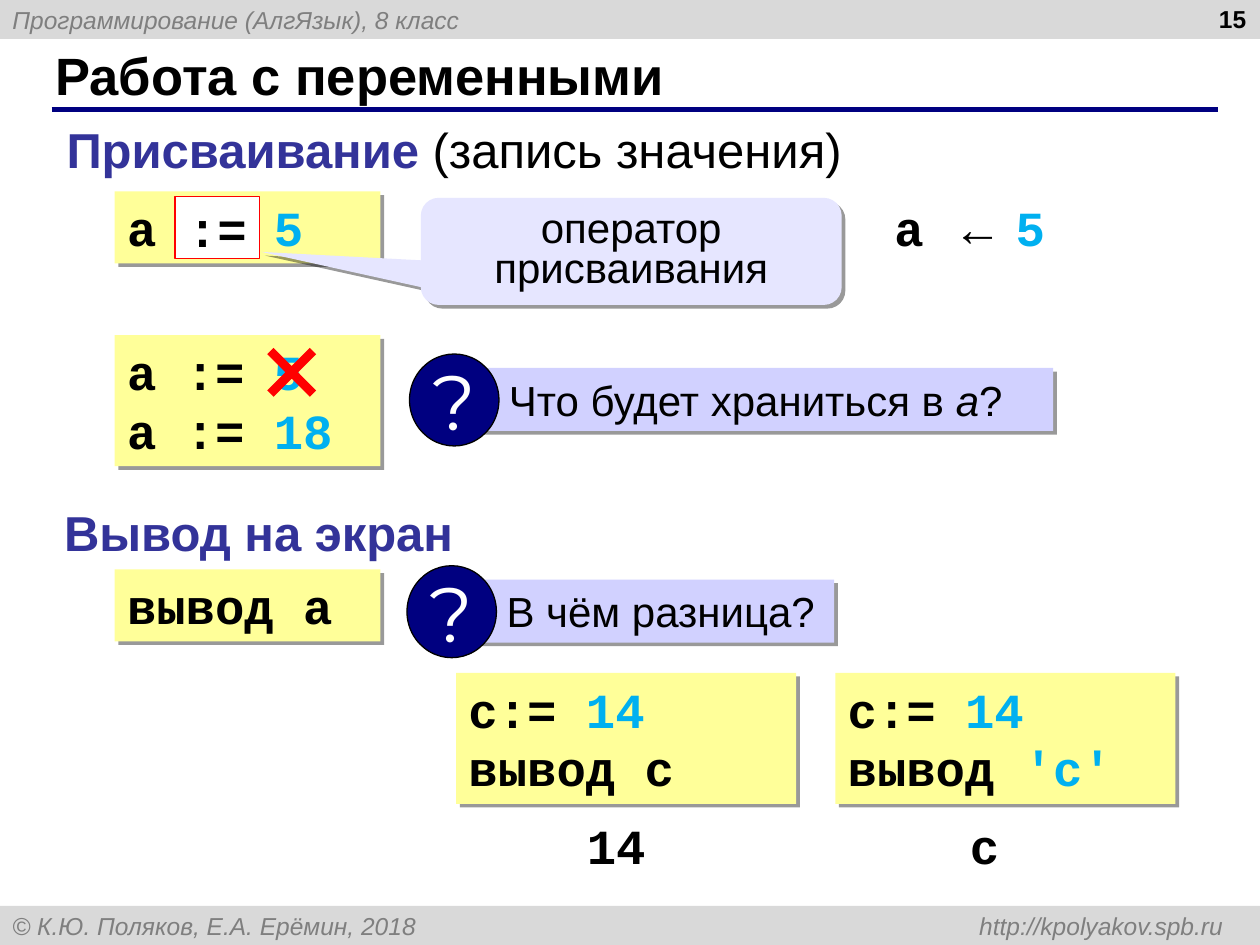
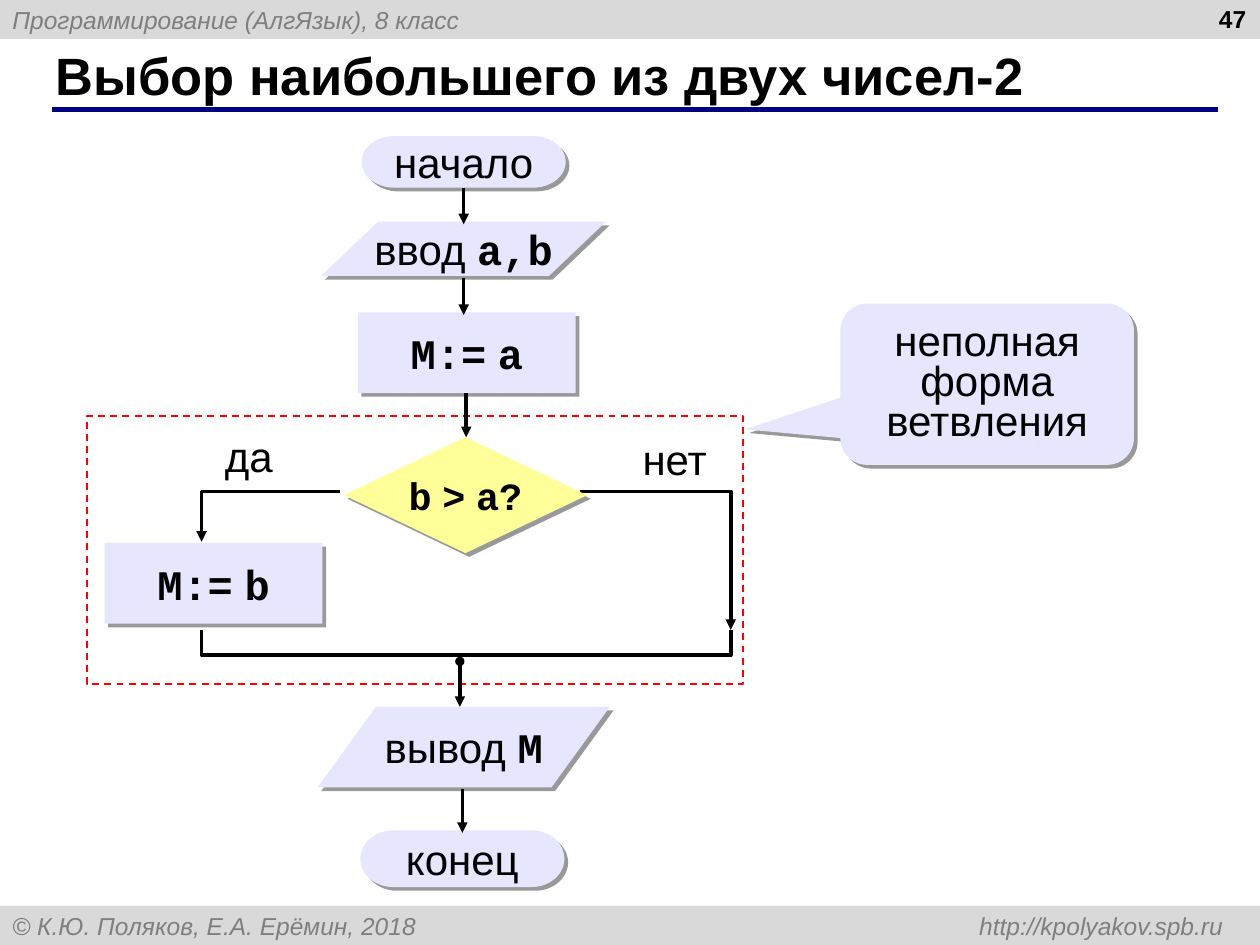
from dataclasses import dataclass

from lxml import etree
from pptx import Presentation
from pptx.dml.color import RGBColor
from pptx.enum.dml import MSO_LINE
from pptx.enum.shapes import MSO_CONNECTOR, MSO_SHAPE
from pptx.enum.text import MSO_ANCHOR, MSO_AUTO_SIZE, PP_ALIGN
from pptx.oxml.ns import qn
from pptx.util import Inches, Pt

RECT, OVAL = MSO_SHAPE.RECTANGLE, MSO_SHAPE.OVAL
CALLOUT, CROSS = MSO_SHAPE.ROUNDED_RECTANGULAR_CALLOUT, MSO_SHAPE.MATH_MULTIPLY
TERMINATOR = MSO_SHAPE.FLOWCHART_TERMINATOR
DATA, DECISION = MSO_SHAPE.FLOWCHART_DATA, MSO_SHAPE.FLOWCHART_DECISION
STRAIGHT, DASH = MSO_CONNECTOR.STRAIGHT, MSO_LINE.DASH
LEFT, CENTER, RIGHT = PP_ALIGN.LEFT, PP_ALIGN.CENTER, PP_ALIGN.RIGHT
TOP, MIDDLE = MSO_ANCHOR.TOP, MSO_ANCHOR.MIDDLE
TITLE_ONLY = 5
COLUMNS, ROWS = 100, 75
WIDTH, HEIGHT = Inches(10), Inches(7.5)
CELL = WIDTH // COLUMNS


@dataclass(frozen=True)
class Theme:
    sans: str = "Arial"
    mono: str = "Courier New"
    mark: str = "Montserrat"
    black: str = "000000"
    white: str = "FFFFFF"
    band: str = "D9D9D9"
    muted: str = "7F7F7F"
    navy: str = "000080"
    heading: str = "333399"
    code: str = "FFFF99"
    value: str = "00B0F0"
    block: str = "E6E6FF"
    question: str = "D1D1FF"
    red: str = "FF0000"
    title_size: int = 30
    code_size: int = 28
    body_size: int = 24
    condition_size: int = 22
    mark_size: int = 44
    small_size: int = 14


THEME = Theme()
VALUE = {"color": THEME.value}
SANS = {"font": THEME.sans}
MONO = {"font": THEME.mono, "bold": True}
CODE = {**MONO, "size": THEME.code_size}
HEADING = {"color": THEME.heading, "bold": True, "size": THEME.code_size, "wrap": False}
SMALL = {"size": THEME.small_size}


def cells(*lengths):
    return [round(length * CELL) for length in lengths]


def write(shape, *paragraphs, size=THEME.body_size, font=THEME.sans, color=THEME.black,
          bold=False, italic=False, align=LEFT, anchor=TOP, wrap=True, spacing=None, indent=0):
    frame = shape.text_frame
    frame.auto_size = MSO_AUTO_SIZE.NONE
    frame.word_wrap = wrap
    frame.vertical_anchor = anchor
    frame.margin_left = Inches(0.1 + indent)
    frame.margin_right = Inches(0.1)
    frame.margin_top = frame.margin_bottom = Inches(0.05)
    base = {"size": size, "font": font, "color": color, "bold": bold, "italic": italic}
    for index, pieces in enumerate(paragraphs):
        paragraph = frame.add_paragraph() if index else frame.paragraphs[0]
        paragraph.alignment = align
        if spacing:
            paragraph.line_spacing = spacing
        for piece in [pieces] if isinstance(pieces, str) else pieces:
            words, changes = (piece, {}) if isinstance(piece, str) else piece
            look = {**base, **changes}
            run = paragraph.add_run()
            run.text = words
            run.font.size = Pt(look["size"])
            run.font.name = look["font"]
            run.font.bold = look["bold"]
            run.font.italic = look["italic"]
            run.font.color.rgb = RGBColor.from_string(look["color"])
    return shape


def stroke(outlined, color, width, arrow=False):
    outlined.line.color.rgb = RGBColor.from_string(color)
    outlined.line.width = Pt(width)
    if arrow:
        outline = outlined._element.spPr.find(qn("a:ln"))
        etree.SubElement(outline, qn("a:tailEnd"), type="triangle")


def cast_shadow(shape):
    effects = shape._element.spPr.find(qn("a:effectLst"))
    shadow = etree.SubElement(effects, qn("a:outerShdw"), blurRad="0", dist=str(Pt(3)),
                              dir="2700000", algn="ctr", rotWithShape="0")
    tone = etree.SubElement(shadow, qn("a:srgbClr"), val=THEME.black)
    etree.SubElement(tone, qn("a:alpha"), val="40000")


def draw(slide, preset, place, fill=None, line=None, width=0.75, shadow=False, adjust=()):
    shape = slide.shapes.add_shape(preset, *cells(*place))
    for index, amount in enumerate(adjust):
        shape.adjustments[index] = amount
    if fill:
        shape.fill.solid()
        shape.fill.fore_color.rgb = RGBColor.from_string(fill)
    else:
        shape.fill.background()
    if line:
        stroke(shape, line, width)
    else:
        shape.line.fill.background()
    shape.shadow.inherit = False
    if shadow:
        cast_shadow(shape)
    return shape


def label(slide, place, *paragraphs, **look):
    return write(slide.shapes.add_textbox(*cells(*place)), *paragraphs, **look)


def connect(slide, start, end, color=THEME.black, width=2, arrow=True):
    link = slide.shapes.add_connector(STRAIGHT, *cells(*start, *end))
    stroke(link, color, width, arrow)
    etree.SubElement(link._element.spPr, qn("a:effectLst"))


def route(slide, *points, arrow=True):
    builder = slide.shapes.build_freeform(*points[0], scale=CELL)
    builder.add_line_segments(points[1:], close=False)
    path = builder.convert_to_shape()
    path.fill.background()
    stroke(path, THEME.black, 2, arrow)
    path.shadow.inherit = False


def code_box(slide, place, *lines):
    write(draw(slide, RECT, place, THEME.code, shadow=True), *lines, **CODE)


def callout(slide, place, tail, words):
    bubble = draw(slide, CALLOUT, place, THEME.block, shadow=True, adjust=(*tail, 0.167))
    write(bubble, words, align=CENTER, anchor=MIDDLE, spacing=0.8)


def question(slide, left, top, width, words):
    bar = draw(slide, RECT, (left + 5.1, top + 1.1, width, 5), THEME.question, shadow=True)
    write(bar, words, indent=0.18)
    disc = draw(slide, OVAL, (left, top, 7.1, 7.3), THEME.navy, THEME.black)
    write(disc, "?", size=THEME.mark_size, font=THEME.mark, color=THEME.white,
          align=CENTER, anchor=MIDDLE, wrap=False)


def flow_block(slide, preset, place, words, fill=THEME.block, **look):
    block = draw(slide, preset, place, fill, shadow=True)
    write(block, words, align=CENTER, anchor=MIDDLE, wrap=False, **look)


def band(slide, top, words):
    strip = draw(slide, RECT, (0, top, COLUMNS, 3.1), THEME.band)
    return write(strip, words, color=THEME.muted, italic=True, anchor=MIDDLE, **SMALL)


def start_slide(deck, title, number):
    slide = deck.slides.add_slide(deck.slide_layouts[TITLE_ONLY])
    band(slide, 0, "Программирование (АлгЯзык), 8 класс")
    footer = band(slide, ROWS - 3.1, "© К.Ю. Поляков, Е.А. Ерёмин, 2018\thttp://kpolyakov.spb.ru")
    tabs = etree.SubElement(footer.text_frame.paragraphs[0]._p.get_or_add_pPr(), qn("a:tabLst"))
    etree.SubElement(tabs, qn("a:tab"), pos=str(Inches(9.61)), algn="r")
    connect(slide, (4.1, 8.7), (96.7, 8.7), THEME.navy, 3, arrow=False)
    heading = slide.shapes.title
    heading.left, heading.top, heading.width, heading.height = cells(3.4, 3.3, 91.6, 5.2)
    write(heading, title, size=THEME.title_size, bold=True, anchor=MIDDLE)
    label(slide, (76.6, -0.2, 23.3, 5.2), number, bold=True, align=RIGHT, **SMALL)
    return slide


def build_variables(deck):
    slide = start_slide(deck, "Работа с переменными", "15")
    label(slide, (4.3, 9, 63.7, 5.7),
          ["Присваивание ", ("(запись значения)", {"bold": False, "color": THEME.black})],
          **HEADING)
    assign_five = ["a := ", ("5", VALUE)]
    code_box(slide, (9.1, 15.2, 21.1, 5.7), assign_five)
    operator = draw(slide, RECT, (13.9, 15.6, 6.7, 4.9), THEME.white, THEME.red)
    write(operator, ":=", align=CENTER, anchor=MIDDLE, wrap=False, **CODE)
    callout(slide, (33.4, 15.7, 33.4, 8.5), (-0.879, 0.005), "оператор присваивания")
    label(slide, (70, 15.2, 17.7, 5.7), ["a ", ("← ", SANS), ("5", VALUE)], **CODE)

    code_box(slide, (9.1, 26.6, 21.1, 10.4), assign_five, ["a := ", ("18", VALUE)])
    question(slide, 32.5, 28.1, 46, ["Что будет храниться в ", ("a", {"italic": True}), "?"])
    draw(slide, CROSS, (19.9, 26.3, 6.5, 6.5), THEME.red, adjust=(0.109,))

    label(slide, (4.1, 39.4, 32.9, 5.7), "Вывод на экран", **HEADING)
    code_box(slide, (9.1, 45.2, 21.1, 5.7), "вывод a")
    question(slide, 32.3, 44.9, 28.8, "В чём разница?")
    assign_fourteen = ["с:= ", ("14", VALUE)]
    examples = [(36.2, "вывод с", (45.6, 6.6), "14"),
                (66.3, ["вывод ", ("'с'", VALUE)], (76, 4.3), "c")]
    for left, command, (result_left, result_width), result in examples:
        code_box(slide, (left, 53.4, 27, 10.4), assign_fourteen, command)
        label(slide, (result_left, 64.2, result_width, 5.7), result, wrap=False, **CODE)


def build_maximum(deck):
    slide = start_slide(deck, "Выбор наибольшего из двух чисел-2", "47")
    branching = draw(slide, RECT, (6.9, 33, 52.1, 21.3), line=THEME.red, width=1)
    branching.line.dash_style = DASH
    callout(slide, (66.7, 24.1, 23.3, 12.8), (-0.824, 0.28), "неполная форма ветвления")

    space = (" ", SANS)
    flow_block(slide, TERMINATOR, (28.7, 10.8, 16.2, 4.1), "начало")
    flow_block(slide, DATA, (25.5, 17.6, 22.6, 4.3), ["ввод ", ("a,b", MONO)])
    flow_block(slide, RECT, (28.4, 24.8, 17.3, 6.4), ["M:=", space, "a"], **MONO)
    flow_block(slide, RECT, (8.3, 43.1, 17.3, 6.4), ["M:=", space, "b"], **MONO)
    flow_block(slide, TERMINATOR, (28.6, 65.9, 16.2, 4.5), "конец")

    steps = [(36.8, 14.9, 17.8), (36.8, 22.1, 25), (37, 31.2, 34.7),
             (36.5, 52.6, 56.1), (36.7, 62.6, 66.1)]
    for column, top, bottom in steps:
        connect(slide, (column, top), (column, bottom))
    yes, no, fork, merge = 16.5, 57.5, 39.3, 52.4
    route(slide, (27.3, fork), (yes, fork), (yes, 43))
    route(slide, (45.8, fork), (no, fork), (no, 50.5))
    route(slide, (yes, 49.5), (yes, merge), (no, merge), (no, 49.6), arrow=False)
    draw(slide, OVAL, (36.2, 52.2, 0.6, 0.6), THEME.black, THEME.black, 1)

    label(slide, (16, 33.7, 7.5, 5), "да", align=CENTER)
    label(slide, (49.8, 33.9, 7.5, 5), "нет", align=CENTER)
    flow_block(slide, DECISION, (27.3, 34.7, 19.3, 9.2), ["b", space, ">", space, "a?"],
               THEME.code, size=THEME.condition_size, **MONO)
    flow_block(slide, DATA, (25.2, 56.1, 23.2, 6.4), ["вывод ", ("M", MONO)])


def main():
    deck = Presentation()
    deck.slide_width, deck.slide_height = WIDTH, HEIGHT
    build_variables(deck)
    build_maximum(deck)
    deck.save("out.pptx")


if __name__ == "__main__":
    main()
